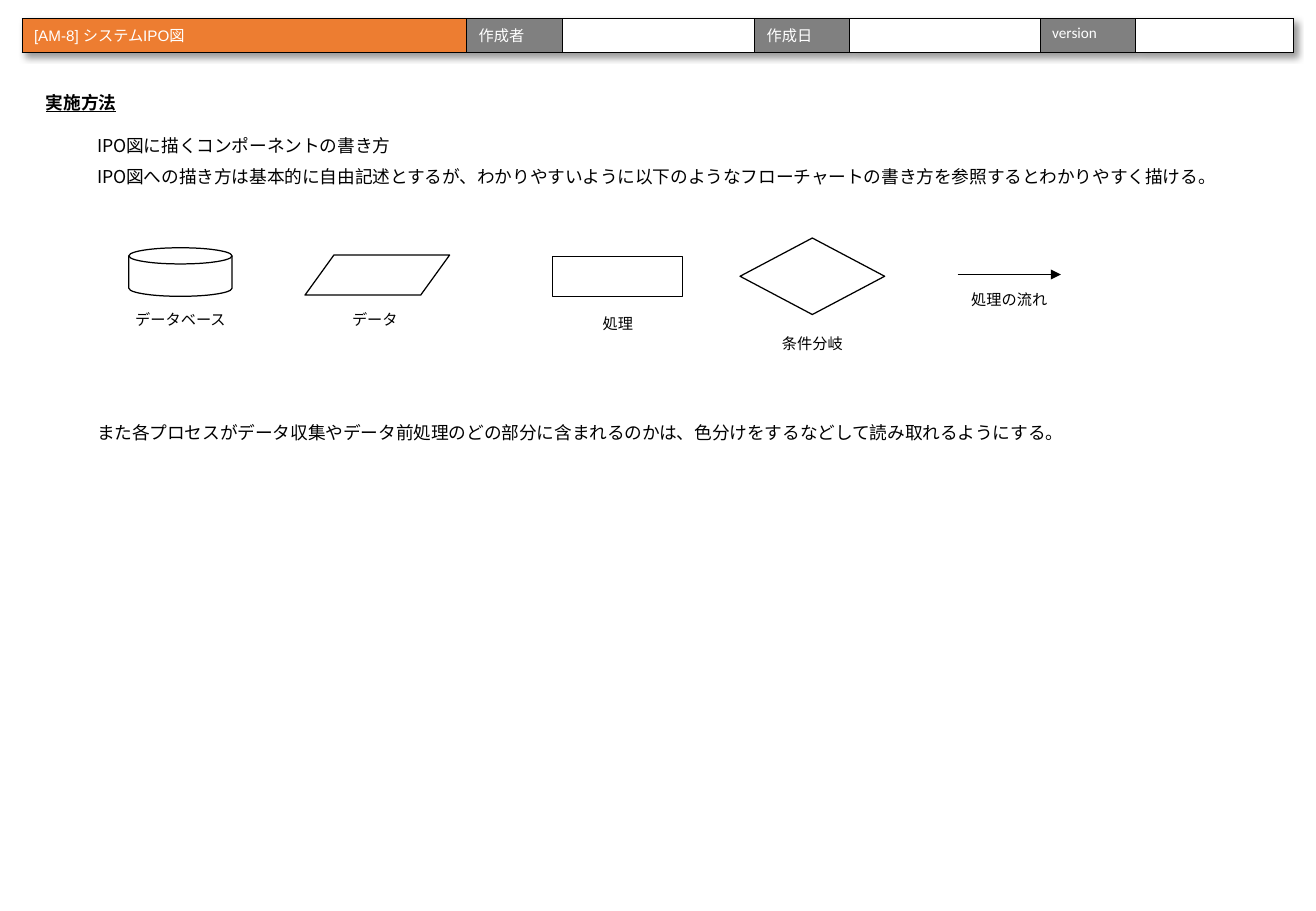
from lxml import etree
from pptx import Presentation
from pptx import util as u
from pptx.dml.color import RGBColor
from pptx.enum import shapes, text
from pptx.oxml import parse_xml
from pptx.oxml.ns import nsdecls, qn

BLACK = RGBColor(0, 0, 0)
WHITE = RGBColor(255, 255, 255)
GRAY = RGBColor(128, 128, 128)
ORANGE = RGBColor(0xED, 0x7D, 0x31)
NOTO = "Noto Sans CJK JP"
SCALE = u.Inches(1) // 100  # 100 px to the inch
SHADOW = (
    f'<a:effectLst {nsdecls("a")}>'
    '<a:outerShdw blurRad="50800" dist="38100" dir="2700000" algn="tl" rotWithShape="0">'
    '<a:srgbClr val="000000"><a:alpha val="40000"/></a:srgbClr>'
    '</a:outerShdw></a:effectLst>'
)


def px(*nums):
    return [u.Emu(n * SCALE) for n in nums]


class Sheet:
    def __init__(self, deck):
        self.slide = deck.slides.add_slide(deck.slide_layouts[6])
        self.items = self.slide.shapes

    def run(self, para, words, size, font=NOTO, color=BLACK, bold=False):
        """Add one run; bold runs are underlined headings."""
        run = para.add_run()
        run.text = words
        face = run.font
        face.size, face.name = u.Pt(size), font
        face.color.rgb = color
        if bold:
            face.bold = face.underline = True
        etree.SubElement(run._r.get_or_add_rPr(), qn("a:ea"), typeface=NOTO)

    def text(self, box, lines, size, pitch, align=None, wrap=True, bold=False):
        """Write (words, space after) lines, each pitch points high."""
        frame = self.items.add_textbox(*px(*box)).text_frame
        frame.word_wrap = wrap
        frame.auto_size = text.MSO_AUTO_SIZE.SHAPE_TO_FIT_TEXT
        for i, (words, after) in enumerate(lines):
            para = frame.add_paragraph() if i else frame.paragraphs[0]
            para.alignment = align
            para.line_spacing = u.Pt(pitch)
            para.space_after = u.Pt(after)
            self.run(para, words, size, bold=bold)

    def label(self, left, top, words):
        self.text((left, top, 105, 25), [(words, 0)], 9, 10.8,
                  text.PP_ALIGN.CENTER)

    def symbol(self, kind, box):
        shape = self.items.add_shape(kind, *px(*box))
        shape.shadow.inherit = False
        shape.fill.solid()
        shape.fill.fore_color.rgb = WHITE
        shape.line.color.rgb = BLACK
        shape.line.width = u.Pt(0.75)

    def arrow(self, *ends):
        line = self.items.add_connector(shapes.MSO_CONNECTOR.STRAIGHT, *px(*ends))
        line.line.color.rgb = BLACK
        line.line.width = u.Pt(0.5)
        etree.SubElement(line.line._get_or_add_ln(), qn("a:tailEnd"), type="triangle")
        etree.SubElement(line._element.spPr, qn("a:effectLst"))

    def cell(self, cell, words, font, fill):
        para = cell.text_frame.paragraphs[0]
        if words:
            self.run(para, words, 9, font, WHITE)
        else:
            etree.SubElement(para._p, qn("a:endParaRPr"), sz="900")
        cell.fill.solid()
        cell.fill.fore_color.rgb = fill
        props = cell._tc.get_or_add_tcPr()
        for i, side in enumerate(("lnL", "lnR", "lnT", "lnB")):
            props.insert(i, parse_xml(
                f'<a:{side} {nsdecls("a")} w="3175"><a:solidFill>'
                f'<a:srgbClr val="{BLACK}"/></a:solidFill></a:{side}>'))

    def table(self, left, top, high, cols):
        """Draw a one-row table from (width, words, font, fill) columns."""
        wide = sum(col[0] for col in cols)
        grid = self.items.add_table(1, len(cols), *px(left, top, wide, high)).table
        grid.first_row = grid.horz_banding = False
        grid._tbl.tblPr.insert(0, parse_xml(SHADOW))
        for i, (width, *rest) in enumerate(cols):
            grid.columns[i].width = px(width)[0]
            self.cell(grid.cell(0, i), *rest)


def main():
    deck = Presentation()
    deck.slide_width, deck.slide_height = px(1083, 750)
    sheet = Sheet(deck)

    cols = [(366, "[AM-8] システムIPO図", "Arial", ORANGE)]
    for name, wide, blank in (("作成者", 79, 158), ("作成日", 78, 157),
                              ("version", 78, 130)):
        cols += [(wide, name, "Calibri", GRAY), (blank, "", "Calibri", WHITE)]
    sheet.table(18, 15, 28, cols)

    pitch = 18.9
    sheet.text((70, 97, 945, 271), [
        ("IPO図に描くコンポーネントの書き方", 0),
        ("IPO図への描き方は基本的に自由記述とするが、わかりやすいように"
         "以下のようなフローチャートの書き方を参照するとわかりやすく描ける。", 7 * pitch),
        ("また各プロセスがデータ収集やデータ前処理のどの部分に含まれるのかは、"
         "色分けをするなどして読み取れるようにする。", 0),
    ], 10.5, pitch)
    sheet.text((28, 69, 79, 28), [("実施方法", 0)], 10.5, 13.5,
               wrap=False, bold=True)

    kind = shapes.MSO_SHAPE
    for form, box, left, top, words in (
        (kind.FLOWCHART_MAGNETIC_DISK, (106, 204, 85, 40), 96, 251, "データベース"),
        (kind.FLOWCHART_DATA, (251, 210, 119, 33), 256, 251, "データ"),
        (kind.FLOWCHART_PROCESS, (455, 211, 107, 33), 456, 254, "処理"),
        (kind.FLOWCHART_DECISION, (609, 196, 119, 63), 616, 270, "条件分岐"),
    ):
        sheet.symbol(form, box)
        sheet.label(left, top, words)
    sheet.arrow(788, 226, 873, 226)
    sheet.label(778, 234, "処理の流れ")

    deck.save("out.pptx")


if __name__ == "__main__":
    main()
